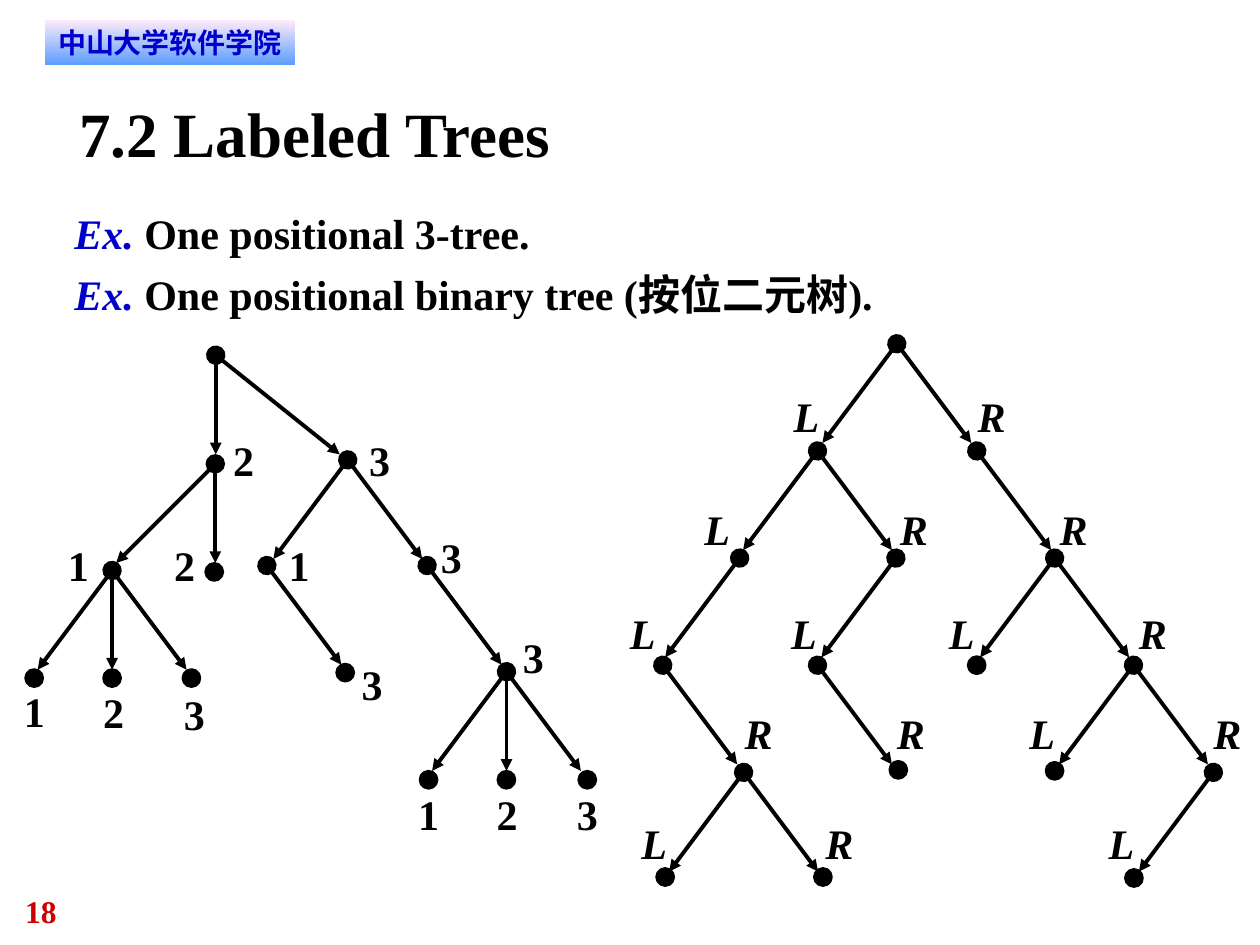
from dataclasses import dataclass

from lxml.etree import SubElement
from pptx import Presentation
from pptx.dml.color import RGBColor
from pptx.enum.shapes import MSO_CONNECTOR, MSO_SHAPE
from pptx.enum.text import MSO_ANCHOR, PP_ALIGN
from pptx.oxml.ns import qn
from pptx.util import Cm, Pt


@dataclass(frozen=True)
class Theme:
    serif: str = "Times New Roman"
    sans: str = "DejaVu Sans"
    black: str = "000000"
    blue: str = "0000CC"
    red: str = "CC0000"
    pink: str = "FFEBFA"
    sky: str = "5E9EFF"
    title: int = 36
    body: int = 24
    page: int = 18
    head: int = 16
    edge: float = 2.25
    ring: float = 2.5


T = Theme()
DOT = 0.31    # node width, cm
DROP = 2      # height of every edge, cm
SIDE = 1.5    # sideways reach of a usual edge, cm

# Binary tree: tops of the fork rows and of the label rows
ROWS = [6.93 + 2.16 * k for k in range(5)]
TOPS = [7.87, 10.16, 12.24, 14.27, 16.48]

# Forks: x, y, sideways reach of each edge
THREE = [
    (4.35, 7.16, (2.5, 0)),
    (4.34, 9.35, (0, -2)),
    (7.01, 9.27, (SIDE, -SIDE)),
    (2.26, 11.5, (-SIDE, 0, SIDE)),
    (5.38, 11.4, (SIDE,)),
    (8.61, 11.4, (SIDE,)),
    (10.21, 13.54, (-SIDE, 0, SIDE)),
]
BOTH = (SIDE, -SIDE)
BINARY = [
    (18.08, ROWS[0], BOTH),
    (16.48, ROWS[1], BOTH),
    (19.69, ROWS[1], (SIDE,)),
    (14.91, ROWS[2], (-SIDE,)),
    (18.06, ROWS[2], (-SIDE,)),
    (21.26, ROWS[2], BOTH),
    (13.36, ROWS[3], (SIDE,)),
    (16.48, ROWS[3], (SIDE,)),
    (22.85, ROWS[3], BOTH),
    (14.99, ROWS[4], BOTH),
    (24.46, ROWS[4], (-SIDE,)),
]

# Leaves: centre x, centre y
ENDS_THREE = [(4.32, 11.53), (0.69, 13.67), (2.26, 13.67), (3.86, 13.67),
              (6.96, 13.56), (8.64, 15.72), (10.21, 15.72), (11.84, 15.72)]
ENDS_BINARY = [(13.41, 17.68), (16.59, 17.68), (19.69, 13.41),
               (21.26, 15.54), (22.86, 17.7), (18.11, 15.52)]

# Labels: left, top
TAGS_THREE = {
    "1": [(8.43, 15.9), (0.48, 13.82), (1.37, 10.87), (5.82, 10.87)],
    "2": [(2.08, 13.84), (4.7, 8.76), (3.51, 10.87), (10.01, 15.9)],
    "3": [(3.71, 13.89), (7.29, 13.28), (11.63, 15.9), (10.54, 12.73),
          (8.89, 10.72), (7.44, 8.76)],
}
TAGS_BINARY = {
    "L": [(16, TOPS[0]), (14.2, TOPS[1]), (12.7, TOPS[2]), (15.95, TOPS[2]),
          (19.13, TOPS[2]), (20.75, TOPS[3]), (12.93, TOPS[4]), (22.35, TOPS[4])],
    "R": [(19.71, TOPS[0]), (18.14, TOPS[1]), (21.36, TOPS[1]), (22.96, TOPS[2]),
          (15.01, TOPS[3]), (18.08, TOPS[3]), (24.46, TOPS[3]), (16.64, TOPS[4])],
}


def rgb(code):
    return RGBColor.from_string(code)


def style(run, size, color=T.black, face=T.serif, slant=False):
    font = run.font
    font.name, font.size = face, Pt(size)
    font.bold, font.italic = True, slant
    font.color.rgb = rgb(color)
    SubElement(run._r.rPr, qn("a:ea"), typeface=T.sans)


def add_box(shapes, x, y, w, h, wrap=True):
    frame = shapes.add_textbox(Cm(x), Cm(y), Cm(w), Cm(h)).text_frame
    frame.margin_left = frame.margin_right = 0
    frame.margin_top = frame.margin_bottom = 0
    frame.word_wrap = wrap
    return frame


def add_text(shapes, text, x, y, w, h, size, color=T.black, slant=False, wrap=True):
    frame = add_box(shapes, x, y, w, h, wrap)
    frame.text = text
    style(frame.paragraphs[0].runs[0], size, color, slant=slant)


def add_banner(shapes, text):
    shape = shapes.add_shape(MSO_SHAPE.RECTANGLE, Cm(0.9), Cm(0.4), Cm(5.05), Cm(0.9))
    shape.shadow.inherit = False
    shape.line.fill.background()
    shape.fill.gradient()
    shape.fill.gradient_angle = 270
    for stop, color in zip(shape.fill.gradient_stops, (T.pink, T.sky)):
        stop.color.rgb = rgb(color)
    frame = shape.text_frame
    frame.margin_left = frame.margin_right = Cm(0.2)
    frame.margin_top = frame.margin_bottom = Cm(0.1)
    frame.vertical_anchor = MSO_ANCHOR.MIDDLE
    frame.text = text
    para = frame.paragraphs[0]
    para.alignment = PP_ALIGN.CENTER
    style(para.runs[0], T.head, T.blue, T.sans)


def add_cases(shapes, cases):
    frame = add_box(shapes, 1.5, 3.99, 22.25, 2.44)
    frame.text = "\n".join("Ex." for case in cases)
    for para, case in zip(frame.paragraphs, cases):
        para.line_spacing = 1.2
        style(para.runs[0], T.body, T.blue, slant=True)
        rest = para.add_run()
        rest.text = " " + case
        style(rest, T.body)


def add_leaf(shapes, x, y):
    dot = shapes.add_shape(MSO_SHAPE.OVAL, Cm(x - DOT / 2), Cm(y - DOT / 2),
                           Cm(DOT), Cm(DOT))
    dot.shadow.inherit = False
    dot.fill.solid()
    dot.fill.fore_color.rgb = dot.line.color.rgb = rgb(T.black)
    dot.line.width = Pt(T.ring)


def add_edge(shapes, x, y, reach, knot):
    edge = shapes.add_connector(MSO_CONNECTOR.STRAIGHT, Cm(x), Cm(y),
                                Cm(x + reach), Cm(y + DROP))
    edge.line.color.rgb = rgb(T.black)
    edge.line.width = Pt(T.edge)
    line = edge.line._get_or_add_ln()
    if knot:
        SubElement(line, qn("a:headEnd"), type="oval", w="lg", len="lg")
    SubElement(line, qn("a:tailEnd"), type="triangle", w="med", len="med")
    SubElement(edge._element.spPr, qn("a:effectLst"))


def add_tree(slide, forks, ends, tags, width, slant):
    shapes = slide.shapes.add_group_shape().shapes
    for x, y in ends:
        add_leaf(shapes, x, y)
    for tag, spots in tags.items():
        for x, y in spots:
            add_text(shapes, tag, x, y, width, 1.02, T.body, slant=slant, wrap=False)
    # The first edge of a fork bears its node
    for x, y, steps in forks:
        for rank, reach in enumerate(steps):
            add_edge(shapes, x, y, reach, rank == 0)


def main():
    deck = Presentation()
    deck.slide_width, deck.slide_height = Cm(25.4), Cm(19.05)
    slide = deck.slides.add_slide(deck.slide_layouts[6])
    shapes = slide.shapes

    # Frame of the page
    add_text(shapes, "18", 0.51, 17.98, 1.9, 0.76, T.page, T.red)
    add_banner(shapes, "中山大学软件学院")

    # Title and examples
    add_text(shapes, "7.2 Labeled Trees", 1.6, 1.9, 22.22, 1.52, T.title)
    add_cases(shapes, ["One positional 3-tree.",
                       "One positional binary tree (按位二元树)."])

    # Trees
    add_tree(slide, THREE, ENDS_THREE, TAGS_THREE, 0.43, False)
    add_tree(slide, BINARY, ENDS_BINARY, TAGS_BINARY, 0.55, True)

    deck.save("out.pptx")


if __name__ == "__main__":
    main()
